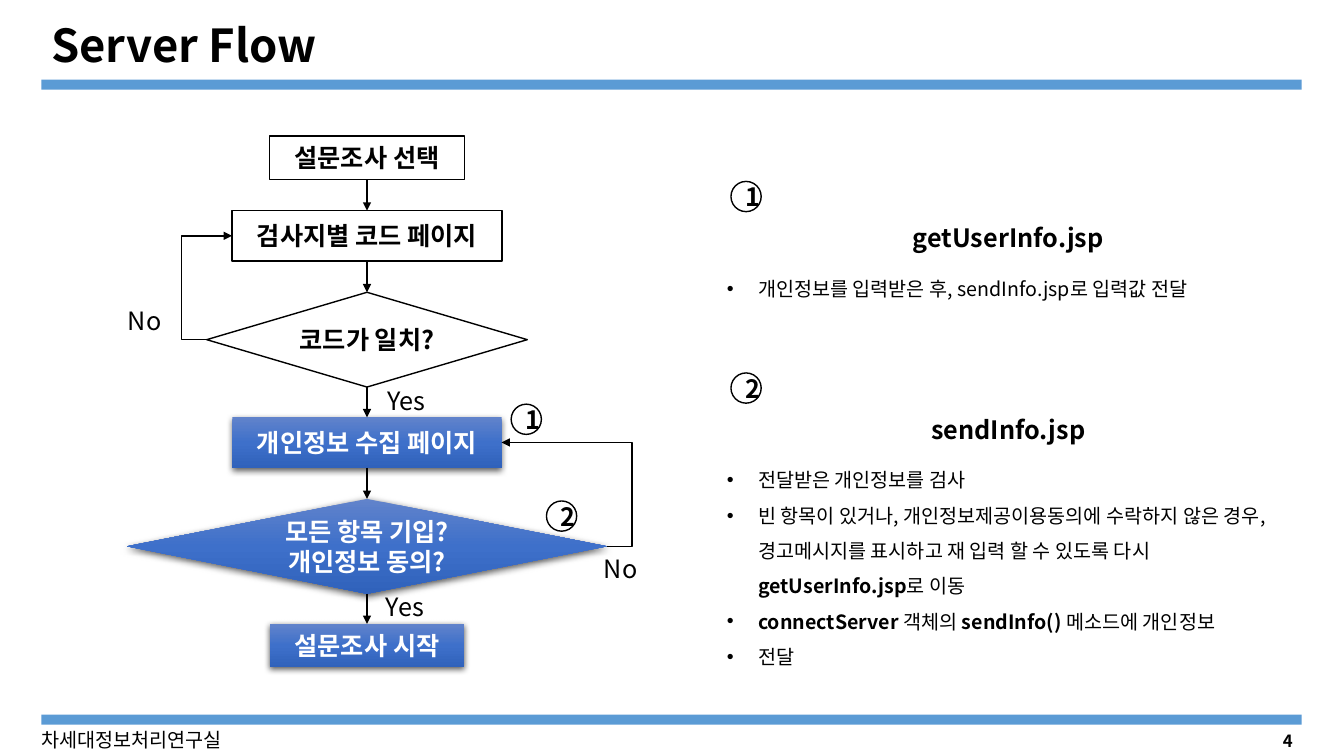
from dataclasses import dataclass

from pptx import Presentation
from pptx import util as u
from pptx.dml.color import RGBColor
from pptx.enum import shapes, text
from pptx.oxml import parse_xml
from pptx.oxml.ns import nsdecls, qn

FONT = "Noto Sans CJK KR"
COLORS = {"black": "000000", "white": "FFFFFF", "bar": "5B9BD5",
          "blue_top": "6183CB", "blue_middle": "3E70CA", "blue_bottom": "3062BB"}
RECTANGLE = shapes.MSO_SHAPE.RECTANGLE
ROUNDED = shapes.MSO_SHAPE.ROUNDED_RECTANGLE
DECISION = shapes.MSO_SHAPE.FLOWCHART_DECISION
LEFT, CENTER, RIGHT = text.PP_ALIGN.LEFT, text.PP_ALIGN.CENTER, text.PP_ALIGN.RIGHT
TOP, MIDDLE = text.MSO_ANCHOR.TOP, text.MSO_ANCHOR.MIDDLE
TOP_SIDE, LEFT_SIDE, BOTTOM_SIDE, RIGHT_SIDE = range(4)
FLOW_CENTER = 3.64
MARKER_SIZE = 0.3


@dataclass
class Step:
    label: str
    kind: shapes.MSO_SHAPE
    top: float
    width: float
    height: float
    is_blue: bool = False


@dataclass
class Label:
    label: str
    left: float
    top: float
    width: float = 0.75
    height: float = 0.4
    size: float = 18
    bold: bool = False
    align: text.PP_ALIGN = LEFT
    anchor: text.MSO_ANCHOR = TOP
    line_spacing: float = 1.0


@dataclass
class Arrow:
    start: int
    start_side: int
    end: int
    end_side: int
    bend: float | None = None


@dataclass
class Marker:
    label: str
    left: float
    top: float


@dataclass
class Part:
    label: str
    bold: bool = False


@dataclass
class BulletList:
    top: float
    height: float
    items: list[list[Part]]


STEPS = [
    Step("설문조사 선택", RECTANGLE, 1.35, 1.93, 0.43),
    Step("검사지별 코드 페이지", RECTANGLE, 2.09, 2.68, 0.5),
    Step("코드가 일치?", DECISION, 2.9, 3.18, 0.94),
    Step("개인정보 수집 페이지", RECTANGLE, 4.14, 2.67, 0.5, True),
    Step("모든 항목 기입?\n개인정보 동의?", DECISION, 4.95, 4.76, 0.94, True),
    Step("설문조사 시작", ROUNDED, 6.19, 1.93, 0.43, True),
]
ARROWS = [Arrow(i, BOTTOM_SIDE, i + 1, TOP_SIDE) for i in range(len(STEPS) - 1)] + [
    Arrow(2, LEFT_SIDE, 1, LEFT_SIDE, -1),
    Arrow(4, RIGHT_SIDE, 3, RIGHT_SIDE, -0.24),
]
LABELS = [
    Label("차세대정보처리연구실", 0.31, 7.17, 2.74, 0.34, 14),
    Label("Server Flow", 0.41, 0.16, 10.01, 0.62, 32.4, True,
          anchor=MIDDLE, line_spacing=0.9),
    Label("4", 9.92, 7.2, 3, 0.3, 12, True, RIGHT, MIDDLE),
    Label("Yes", 3.74, 3.77),
    Label("No", 1.17, 2.98),
    Label("Yes", 3.73, 5.82),
    Label("No", 5.89, 5.44),
    Label("getUserInfo.jsp", 8.14, 2.16, 3.72, bold=True, align=CENTER),
    Label("sendInfo.jsp", 8.14, 4.06, 3.72, bold=True, align=CENTER),
]
MARKERS = [Marker("1", 7.25, 1.8), Marker("1", 5.07, 4.01),
           Marker("2", 5.42, 4.97), Marker("2", 7.25, 3.7)]
BULLET_LISTS = [
    BulletList(2.58, 0.41, [[Part("개인정보를 입력받은 후, sendInfo.jsp로 입력값 전달")]]),
    BulletList(4.48, 2.22, [
        [Part("전달받은 개인정보를 검사")],
        [Part("빈 항목이 있거나, 개인정보제공이용동의에 수락하지 않은 경우, "
              "경고메시지를 표시하고 재 입력 할 수 있도록 다시 "),
         Part("getUserInfo.jsp", True), Part("로 이동")],
        [Part("connectServer ", True), Part("객체의 "),
         Part("sendInfo() ", True), Part("메소드에 개인정보")],
        [Part("전달")],
    ]),
]


def rgb(name: str) -> RGBColor:
    return RGBColor.from_string(COLORS[name])


def format_run(run, size: float, bold: bool, color: str = "black") -> None:
    run.font.size, run.font.bold, run.font.name = u.Pt(size), bold, FONT
    run.font.color.rgb = rgb(color)
    run.font._element.append(parse_xml(f'<a:ea {nsdecls("a")} typeface="{FONT}"/>'))


def write(frame, label: str, size: float, bold: bool, align, color: str = "black") -> None:
    frame.text = label
    for paragraph in frame.paragraphs:
        paragraph.alignment = align
        for run in paragraph.runs:
            format_run(run, size, bold, color)


def add_shape(slide, kind, left: float, top: float, width: float, height: float, fill: str):
    shape = slide.shapes.add_shape(kind, *map(u.Inches, (left, top, width, height)))
    shape.shadow.inherit = False
    shape.fill.solid()
    shape.fill.fore_color.rgb = rgb(fill)
    shape.line.fill.background()
    return shape


def outline(line) -> None:
    line.color.rgb = rgb("black")
    line.width = u.Pt(1)


def make_blue(shape) -> None:
    properties = shape.element.spPr
    stops = "".join(
        f'<a:gs pos="{position}"><a:srgbClr val="{COLORS[name]}"/></a:gs>'
        for position, name in ((0, "blue_top"), (50000, "blue_middle"), (100000, "blue_bottom")))
    properties.replace(properties.find(qn("a:solidFill")), parse_xml(
        f'<a:gradFill {nsdecls("a")} rotWithShape="1"><a:gsLst>{stops}</a:gsLst>'
        '<a:lin ang="5400000" scaled="0"/></a:gradFill>'))
    properties.find(qn("a:effectLst")).append(parse_xml(
        f'<a:outerShdw {nsdecls("a")} blurRad="57150" dist="19050" dir="5400000" '
        f'algn="ctr" rotWithShape="0"><a:srgbClr val="{COLORS["black"]}">'
        '<a:alpha val="63000"/></a:srgbClr></a:outerShdw>'))


def add_step(slide, step: Step):
    shape = add_shape(slide, step.kind, FLOW_CENTER - step.width / 2, step.top,
                      step.width, step.height, "white")
    if step.kind == ROUNDED:
        shape.adjustments[0] = 0
    if step.is_blue:
        make_blue(shape)
    else:
        outline(shape.line)
    write(shape.text_frame, step.label, 18, True, CENTER, "white" if step.is_blue else "black")
    return shape


def add_arrow(slide, arrow: Arrow, steps: list) -> None:
    kind = shapes.MSO_CONNECTOR.STRAIGHT if arrow.bend is None else shapes.MSO_CONNECTOR.ELBOW
    connector = slide.shapes.add_connector(kind, 0, 0, 0, 0)
    connector.begin_connect(steps[arrow.start], arrow.start_side)
    connector.end_connect(steps[arrow.end], arrow.end_side)
    outline(connector.line)
    properties = connector.element.spPr
    properties.find(qn("a:ln")).append(parse_xml(f'<a:tailEnd {nsdecls("a")} type="triangle"/>'))
    properties.append(parse_xml(f'<a:effectLst {nsdecls("a")}/>'))
    if arrow.bend is not None:
        guides = properties.find(qn("a:prstGeom")).get_or_add_avLst()
        guides.append(parse_xml(
            f'<a:gd {nsdecls("a")} name="adj1" fmla="val {round(arrow.bend * 100000)}"/>'))


def add_frame(slide, left: float, top: float, width: float, height: float):
    frame = slide.shapes.add_textbox(*map(u.Inches, (left, top, width, height))).text_frame
    frame.word_wrap = True
    return frame


def add_label(slide, label: Label) -> None:
    frame = add_frame(slide, label.left, label.top, label.width, label.height)
    frame.vertical_anchor = label.anchor
    write(frame, label.label, label.size, label.bold, label.align)
    frame.paragraphs[0].line_spacing = label.line_spacing


def add_marker(slide, marker: Marker) -> None:
    shape = add_shape(slide, shapes.MSO_SHAPE.OVAL, marker.left, marker.top,
                      MARKER_SIZE, MARKER_SIZE, "white")
    outline(shape.line)
    write(shape.text_frame, marker.label, 18, True, CENTER)


def add_bullets(slide, bullets: BulletList) -> None:
    frame = add_frame(slide, 7.11, bullets.top, 5.62, bullets.height)
    for index, parts in enumerate(bullets.items):
        paragraph = frame.add_paragraph() if index else frame.paragraphs[0]
        paragraph.line_spacing = 1.5
        properties = paragraph._p.get_or_add_pPr()
        properties.set("marL", str(u.Inches(0.31)))
        properties.set("indent", str(u.Inches(-0.31)))
        properties.append(parse_xml(f'<a:buFont {nsdecls("a")} typeface="Arial"/>'))
        properties.append(parse_xml(f'<a:buChar {nsdecls("a")} char="•"/>'))
        for part in parts:
            run = paragraph.add_run()
            run.text = part.label
            format_run(run, 14, part.bold)


def main() -> None:
    presentation = Presentation()
    presentation.slide_width, presentation.slide_height = u.Inches(13.33), u.Inches(7.5)
    slide = presentation.slides.add_slide(presentation.slide_layouts[6])

    # Header and footer bars
    for top in (0.79, 7.09):
        add_shape(slide, RECTANGLE, 0.41, top, 12.5, 0.1, "bar")

    # Flowchart
    steps = [add_step(slide, step) for step in STEPS]
    for arrow in ARROWS:
        add_arrow(slide, arrow, steps)

    # Texts and numbered markers
    for label in LABELS:
        add_label(slide, label)
    for bullets in BULLET_LISTS:
        add_bullets(slide, bullets)
    for marker in MARKERS:
        add_marker(slide, marker)

    presentation.save("out.pptx")


if __name__ == "__main__":
    main()
